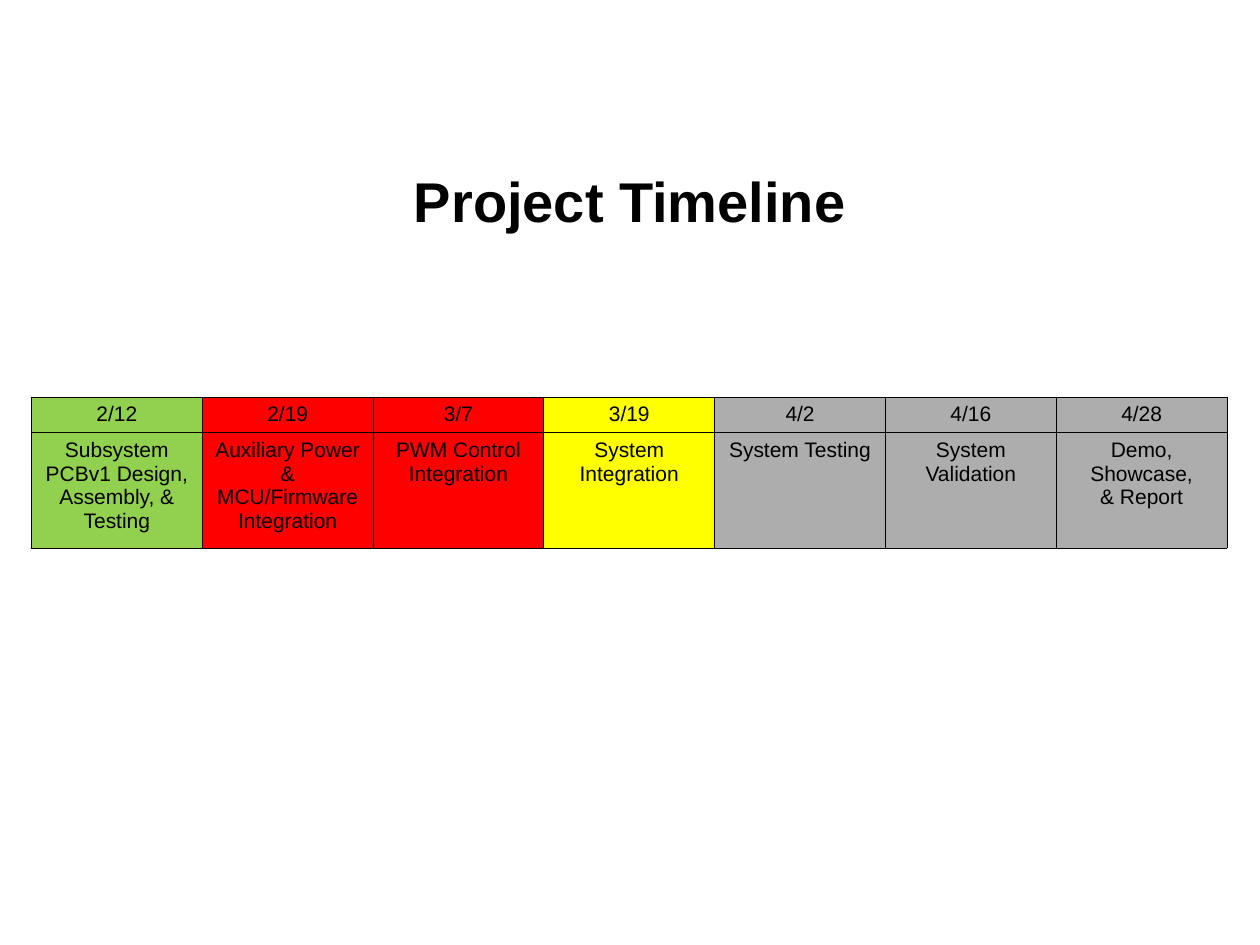
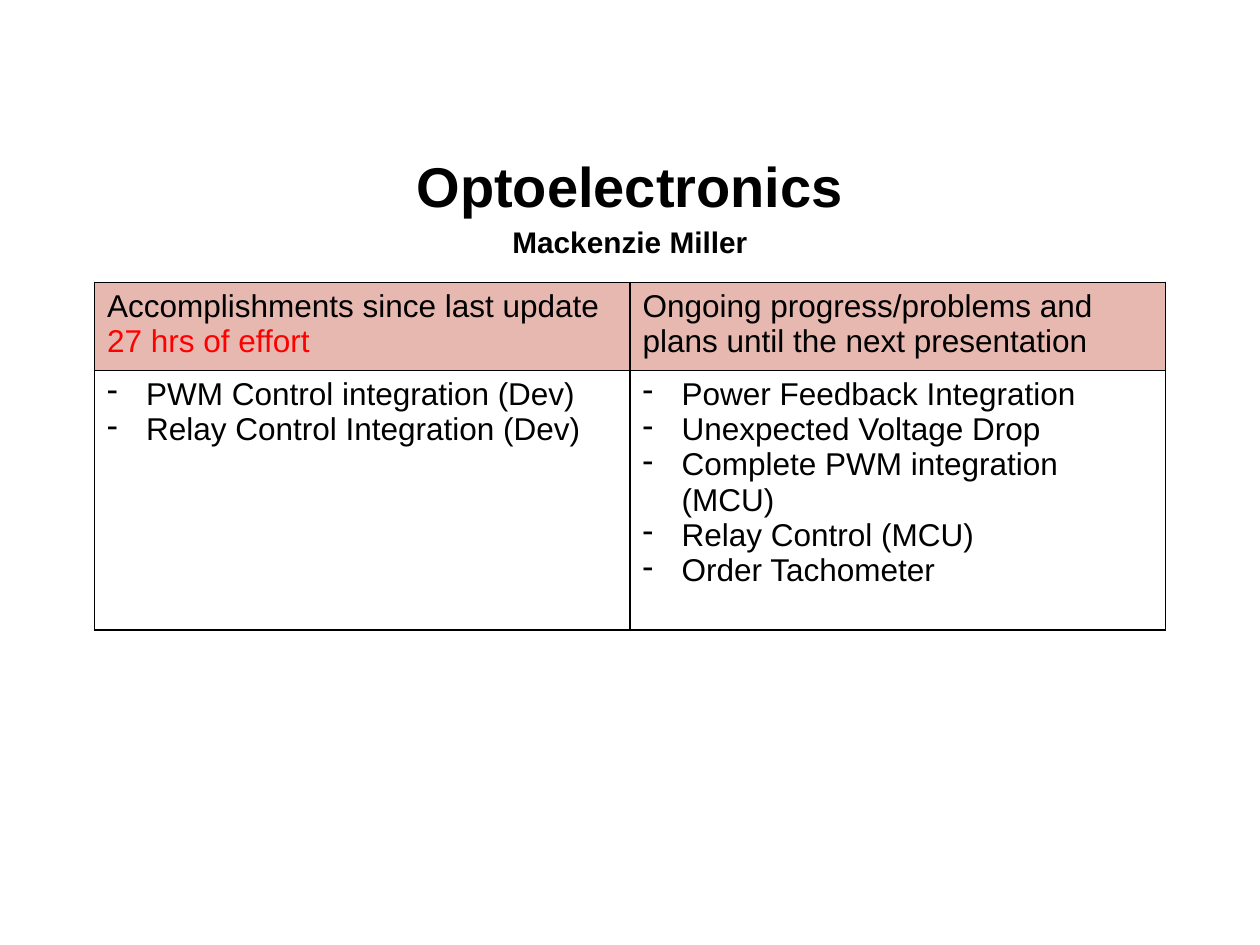
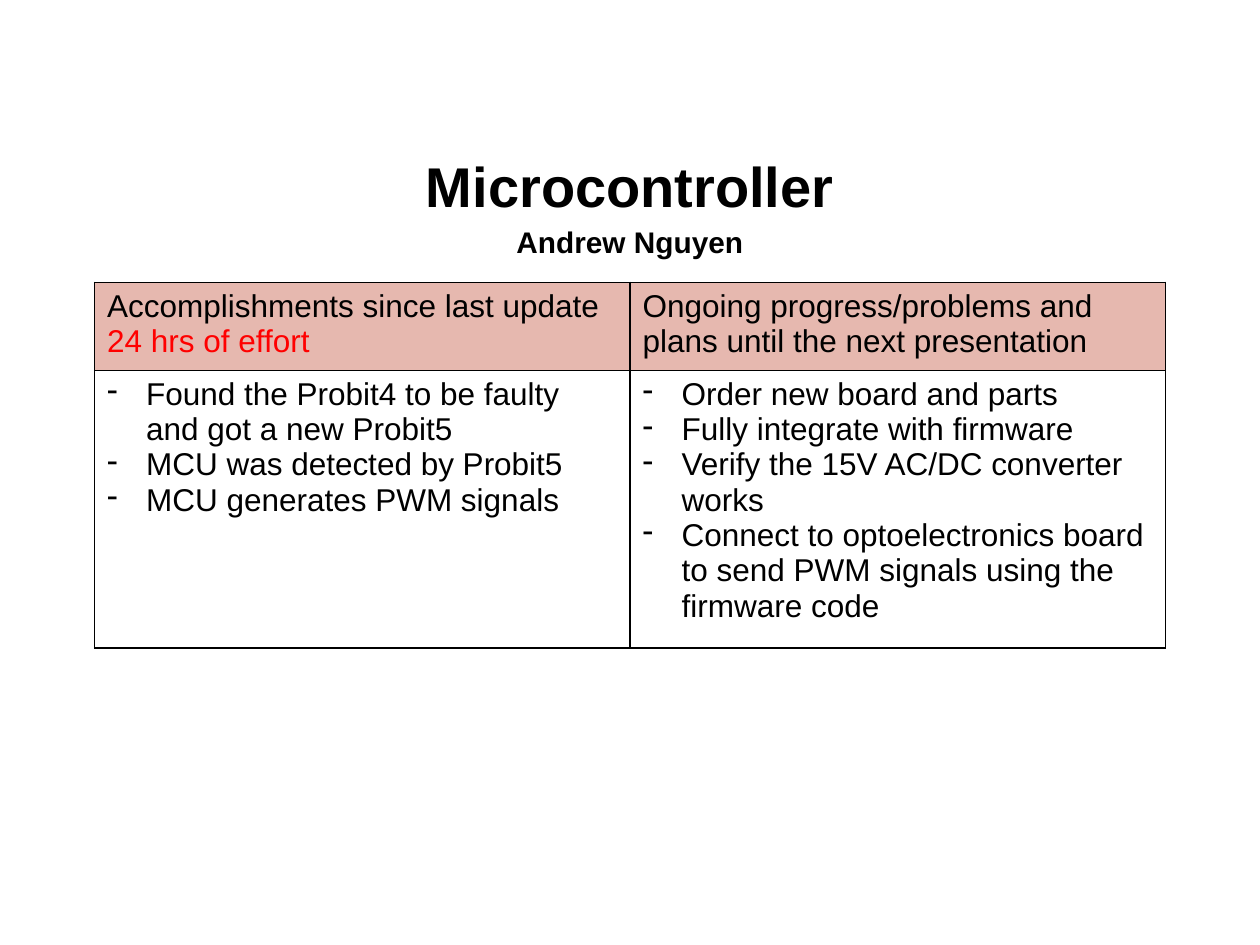
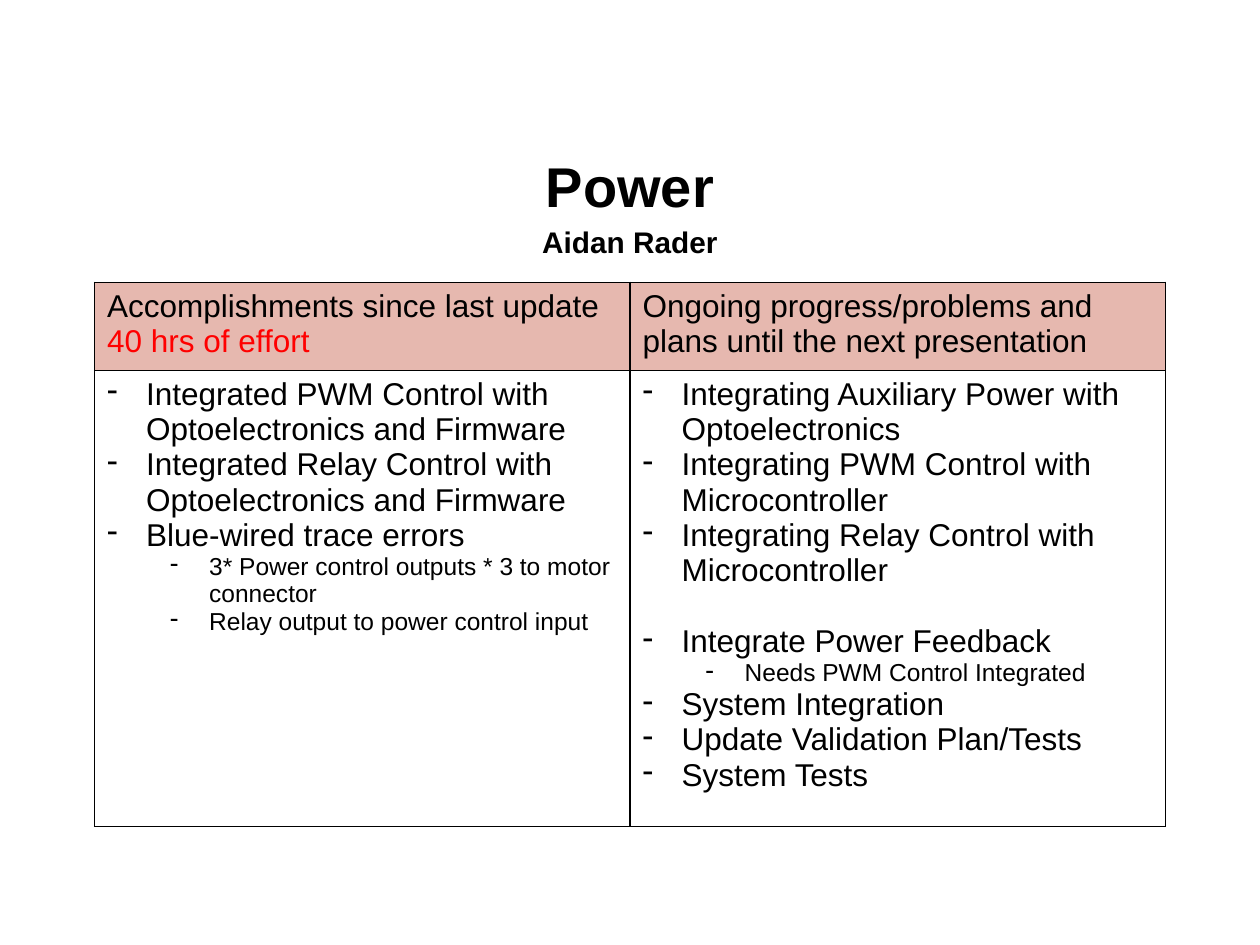
from lxml import etree
from pptx import Presentation
from pptx.dml.color import RGBColor
from pptx.enum import text
from pptx.oxml import ns
from pptx import util as u

FONT = "Arial"
COLORS = {
    "black": "000000",
    "white": "FFFFFF",
    "done": "92D050",
    "late": "FF0000",
    "active": "FFFF00",
    "planned": "ADADAD",
    "header": "E6B8AF",
}
CENTER = text.PP_ALIGN.CENTER
INDENT = 0.31
LEVEL_STEP = 0.5


def write(frame, string, size=18, color="black", bold=False, align=None,
          spacing=None, before=None, level=None, same_line=False):
    """Add a paragraph, or a run on the last one; a level makes it a dash item."""
    para = frame.paragraphs[-1]
    if para.runs and not same_line:
        para = frame.add_paragraph()
    if level is not None:
        para.level = level
        props = para._p.get_or_add_pPr()
        props.set("marL", str(u.Inches(INDENT + LEVEL_STEP * level)))
        props.set("indent", str(-u.Inches(INDENT)))
        etree.SubElement(props, ns.qn("a:buChar")).set("char", "-")
    if align is not None:
        para.alignment = align
    if spacing is not None:
        para.line_spacing = spacing
    if before is not None:
        para.space_before = u.Pt(before)
    span = para.add_run()
    span.text = string
    span.font.name = FONT
    span.font.size = u.Pt(size)
    span.font.bold = bold
    span.font.color.rgb = RGBColor.from_string(COLORS[color])


def style_cell(cell, fill, width):
    """Draw the four borders of a cell, then its fill."""
    props = cell._tc.get_or_add_tcPr()
    for side in ("a:lnL", "a:lnR", "a:lnT", "a:lnB"):
        line = etree.SubElement(props, ns.qn(side), w=str(u.Pt(width)))
        solid = etree.SubElement(line, ns.qn("a:solidFill"))
        etree.SubElement(solid, ns.qn("a:srgbClr"), val=COLORS["black"])
    if fill:
        cell.fill.solid()
        cell.fill.fore_color.rgb = RGBColor.from_string(COLORS[fill])
    else:
        cell.fill.background()


# Content
milestones = [
    ("2/12", ["Subsystem PCBv1 Design, Assembly, & Testing"], "done"),
    ("2/19", ["Auxiliary Power & MCU/Firmware Integration"], "late"),
    ("3/7", ["PWM Control Integration"], "late"),
    ("3/19", ["System Integration"], "active"),
    ("4/2", ["System Testing"], "planned"),
    ("4/16", ["System", "Validation"], "planned"),
    ("4/28", ["Demo, Showcase,", "& Report"], "planned"),
]
# Each item is (level, string), with an optional space before in points
updates = [
    {
        "title": "Optoelectronics",
        "owner": "Mackenzie Miller",
        "effort": " 27 hrs of effort",
        "height": 2.06,
        "done": [
            (0, "PWM Control integration (Dev)"),
            (0, "Relay Control Integration (Dev)"),
        ],
        "plans": [
            (0, "Power Feedback Integration"),
            (0, "Unexpected Voltage Drop"),
            (0, "Complete PWM integration (MCU)"),
            (0, "Relay Control (MCU)"),
            (0, "Order Tachometer"),
        ],
    },
    {
        "title": "Microcontroller",
        "owner": "Andrew Nguyen",
        "effort": "24 hrs of effort",
        "height": 2.06,
        "done": [
            (0, "Found the Probit4 to be faulty and got a new Probit5"),
            (0, "MCU was detected by Probit5"),
            (0, "MCU generates PWM signals"),
        ],
        "plans": [
            (0, "Order new board and parts"),
            (0, "Fully integrate with firmware"),
            (0, "Verify the 15V AC/DC converter works"),
            (0, "Connect to optoelectronics board to send PWM signals "
                "using the firmware code"),
        ],
    },
    {
        "title": "Power",
        "owner": "Aidan Rader",
        "effort": "40 hrs of effort",
        "height": 3.4,
        "done": [
            (0, "Integrated PWM Control with Optoelectronics and Firmware"),
            (0, "Integrated Relay Control with Optoelectronics and Firmware"),
            (0, "Blue-wired trace errors"),
            (1, "3* Power control outputs * 3 to motor connector"),
            (1, "Relay output to power control input"),
        ],
        "plans": [
            (0, "Integrating Auxiliary Power with Optoelectronics"),
            (0, "Integrating PWM Control with Microcontroller"),
            (0, "Integrating Relay Control with Microcontroller"),
            (0, "Integrate Power Feedback", 20.5),
            (1, "Needs PWM Control Integrated"),
            (0, "System Integration"),
            (0, "Update Validation Plan/Tests"),
            (0, "System Tests"),
        ],
    },
]

deck = Presentation()
deck.slide_width, deck.slide_height = u.Inches(10), u.Inches(7.5)

# Pages with their shared title style
titles = [("Project Timeline", None)]
titles += [(update["title"], update["owner"]) for update in updates]
pages = []
for title, owner in titles:
    page = deck.slides.add_slide(deck.slide_layouts[6])
    page.background.fill.solid()
    page.background.fill.fore_color.rgb = RGBColor.from_string(COLORS["white"])
    box = page.shapes.add_textbox(u.Inches(0.5), u.Inches(1.15), u.Inches(9), u.Inches(0.88))
    frame = box.text_frame
    frame.word_wrap = True
    frame.vertical_anchor = text.MSO_ANCHOR.MIDDLE
    spacing = 1.15 if owner else None
    write(frame, title, size=32, bold=True, align=CENTER, spacing=spacing)
    if owner:
        write(frame, owner, size=17, bold=True, align=CENTER, spacing=spacing)
    pages.append(page)

# Timeline table
timeline = pages[0].shapes.add_table(
    2, len(milestones), u.Inches(0.25), u.Inches(3.15), u.Inches(9.49), u.Inches(1.2)).table
timeline.first_row = timeline.horz_banding = False
timeline.rows[0].height, timeline.rows[1].height = u.Inches(0.28), u.Inches(0.92)
for column, (date, tasks, status) in enumerate(milestones):
    date_cell, task_cell = timeline.cell(0, column), timeline.cell(1, column)
    date_cell.vertical_anchor = text.MSO_ANCHOR.BOTTOM
    date_cell.margin_left = date_cell.margin_right = date_cell.margin_top = u.Inches(0.01)
    for cell, lines in ((date_cell, [date]), (task_cell, tasks)):
        style_cell(cell, status, 0.5)
        for line in lines:
            write(cell.text_frame, line, size=12, align=CENTER)

# Progress tables
for page, update in zip(pages[1:], updates):
    progress = page.shapes.add_table(
        2, 2, u.Inches(0.75), u.Inches(2.24), u.Inches(8.5), u.Inches(0.7 + update["height"])).table
    progress.first_row = progress.horz_banding = False
    progress.rows[0].height = u.Inches(0.7)
    progress.rows[1].height = u.Inches(update["height"])
    headings = ("Accomplishments since last update ",
                "Ongoing progress/problems and plans until the next presentation")
    for column, (heading, items) in enumerate(zip(headings, (update["done"], update["plans"]))):
        header, body = progress.cell(0, column), progress.cell(1, column)
        style_cell(header, "header", 1)
        style_cell(body, None, 1)
        write(header.text_frame, heading)
        for level, string, *before in items:
            write(body.text_frame, string, size=14 if level else 18, level=level,
                  before=before[0] if before else None)
    write(progress.cell(0, 0).text_frame, update["effort"], color="late", same_line=True)

deck.save("out.pptx")
